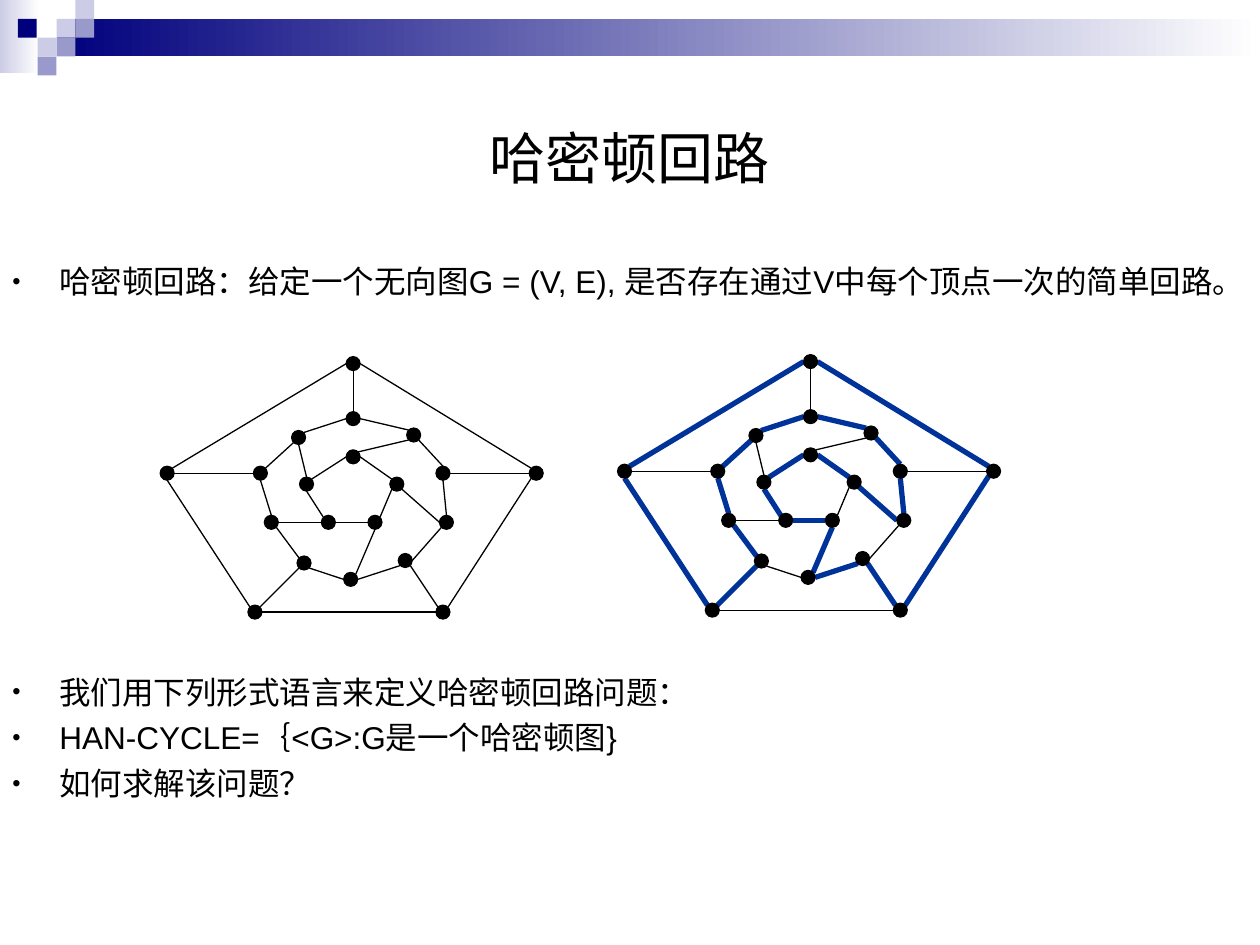
import lxml.etree
import pptx
import pptx.dml.color
import pptx.enum.shapes
import pptx.enum.text
import pptx.oxml.ns
import pptx.util

Cm = pptx.util.Cm
Pt = pptx.util.Pt
qn = pptx.oxml.ns.qn
SHAPES = pptx.enum.shapes.MSO_SHAPE
ALIGN = pptx.enum.text.PP_ALIGN

HEX = {"black": "000000", "navy": "00007D", "lilac": "9999CC",
       "pale": "CCCCE6", "white": "FFFFFF", "cycle": "003399"}
COLORS = {name: pptx.dml.color.RGBColor.from_string(value) for name, value in HEX.items()}

prs = pptx.Presentation()
prs.slide_width, prs.slide_height = Cm(25.4), Cm(19.05)
slide = prs.slides.add_slide(prs.slide_layouts[6])


def write(paragraph, text, size=18, align=ALIGN.LEFT, before=0, bullet=None):
    props = paragraph._p.get_or_add_pPr()
    props.set("hangingPunct", "0")
    if bullet:
        props.set("marL", str(Cm(0.95)))
        props.set("indent", str(-Cm(0.95)))
        color = lxml.etree.SubElement(props, qn("a:buClr"))
        lxml.etree.SubElement(color, qn("a:srgbClr"), val=HEX["black"])
        lxml.etree.SubElement(props, qn("a:buSzPct"), val="75000")
        lxml.etree.SubElement(props, qn("a:buFont"), typeface="Arial")
        lxml.etree.SubElement(props, qn("a:buChar"), char=bullet)
    paragraph.alignment = align
    paragraph.space_before = Pt(before)
    run = paragraph.add_run()
    run.text = text
    run.font.name = "Arial"
    run.font.size = Pt(size)
    run.font.color.rgb = COLORS["black"]


def draw_edge(start, end, color, width):
    edge = slide.shapes.add_connector(
        pptx.enum.shapes.MSO_CONNECTOR.STRAIGHT, *(Cm(v) for v in (*start, *end)))
    edge.line.color.rgb = COLORS[color]
    edge.line.width = Pt(width)
    lxml.etree.SubElement(edge._element.spPr, qn("a:effectLst"))


# Header: two gradient bands, then small squares
BANDS = [(0, 0, 0.79, 1.47, "pale"), (1.14, 0.38, 24.26, 0.76, "navy")]
for left, top, width, height, color in BANDS:
    band = slide.shapes.add_shape(SHAPES.RECTANGLE, Cm(left), Cm(top), Cm(width), Cm(height))
    band.shadow.inherit = False
    band.line.fill.background()
    band.fill.gradient()
    band.fill.gradient_angle = 0
    for stop, stop_color in zip(band.fill.gradient_stops, (color, "white")):
        stop.color.rgb = COLORS[stop_color]

SQUARE = 0.38
SQUARES = [(3, 1, "pale"), (4, 0, "pale"), (4, 1, "lilac"), (2, 2, "pale"),
           (0.95, 1, "navy"), (3, 2, "lilac"), (2, 3, "lilac")]
for column, row, color in SQUARES:
    square = slide.shapes.add_shape(
        SHAPES.RECTANGLE, Cm(column * SQUARE), Cm(row * SQUARE), Cm(SQUARE), Cm(SQUARE))
    square.shadow.inherit = False
    square.line.fill.background()
    square.fill.solid()
    square.fill.fore_color.rgb = COLORS[color]

# Title
title = slide.shapes.add_textbox(Cm(1.27), Cm(1.27), Cm(22.86), Cm(3.81)).text_frame
title.word_wrap = True
title.vertical_anchor = pptx.enum.text.MSO_ANCHOR.MIDDLE
write(title.paragraphs[0], "哈密顿回路", size=32, align=ALIGN.CENTER)

# Body: definition above the graphs, formal language below
BODY = [("哈密顿回路：给定一个无向图G = (V, E), 是否存在通过V中每个顶点一次的简单回路。", 0),
        ("我们用下列形式语言来定义哈密顿回路问题：", 213),
        ("HAN-CYCLE=｛<G>:G是一个哈密顿图}", 4.5),
        ("如何求解该问题？", 4.5)]
body = slide.shapes.add_textbox(0, Cm(5.16), Cm(25.4), Cm(12.5)).text_frame
body.word_wrap = True
for index, (text, before) in enumerate(BODY):
    paragraph = body.add_paragraph() if index else body.paragraphs[0]
    write(paragraph, text, before=before, bullet="•")

# Vertices by ring, clockwise from the top: O outer, M middle, I inner
RINGS = {
    "O": [(7.12, 7.33), (10.81, 9.54), (8.93, 12.34), (5.14, 12.34), (3.37, 9.54)],
    "M": [(7.12, 8.44), (8.34, 8.77), (8.93, 9.54), (9, 10.53), (8.17, 11.3),
          (7.07, 11.68), (6.13, 11.35), (5.47, 10.53), (5.25, 9.54), (6.02, 8.82)],
    "I": [(7.12, 9.21), (8, 9.76), (7.56, 10.53), (6.62, 10.53), (6.18, 9.76)],
}
vertices = {f"{ring}{number}": center for ring, centers in RINGS.items()
            for number, center in enumerate(centers, 1)}

# Edges: vertex and the side of its dot, at both ends
CYCLE = """I1 E I2 NW, I4 E I3 W, I4 NW I5 S, I5 NE I1 W, O3 NE O2 SW,
    O1 E O2 NW, O4 NW O5 S, O5 NE O1 W, M3 N M2 SE, M1 E M2 NW,
    M4 N M3 S, M1 W M10 NE, M10 SW M9 NE, M9 S M8 N, M8 SE M7 NW,
    M6 E M5 SW, O3 NW M5 SE, M7 SW O4 NE, I3 S M6 NE, M4 W I2 SE"""
OTHERS = """I3 NE I2 SW, O4 E O3 W, M4 SW M5 E, M7 SE M6 W, M9 W O5 E,
    M1 N O1 S, M3 E O2 W, I4 W M8 E, I5 N M10 S, M2 SW I1 NE"""
RADIUS = 0.14
DIAGONAL = 0.1
SIDES = {"N": (0, -RADIUS), "S": (0, RADIUS), "W": (-RADIUS, 0), "E": (RADIUS, 0),
         "NW": (-DIAGONAL, -DIAGONAL), "NE": (DIAGONAL, -DIAGONAL),
         "SW": (-DIAGONAL, DIAGONAL), "SE": (DIAGONAL, DIAGONAL)}

# Plain graph on the left, the same graph with its cycle on the right
for shift_x, shift_y, has_cycle in [(0, 0, False), (9.22, -0.04, True)]:
    layers = [(CYCLE + "," + OTHERS, "black", 0.75)]
    if has_cycle:
        layers.append((CYCLE, "cycle", 3))
    for edges, color, width in layers:
        for edge in edges.split(","):
            names = edge.split()
            ends = [(vertices[name][0] + SIDES[side][0] + shift_x,
                     vertices[name][1] + SIDES[side][1] + shift_y)
                    for name, side in (names[:2], names[2:])]
            draw_edge(*ends, color, width)
    for x, y in vertices.values():
        dot = slide.shapes.add_shape(
            SHAPES.OVAL, Cm(x + shift_x - RADIUS), Cm(y + shift_y - RADIUS),
            Cm(2 * RADIUS), Cm(2 * RADIUS))
        dot.shadow.inherit = False
        dot.fill.solid()
        dot.fill.fore_color.rgb = COLORS["black"]
        dot.line.color.rgb = COLORS["black"]
        dot.line.width = Pt(0.75)

prs.save("out.pptx")
